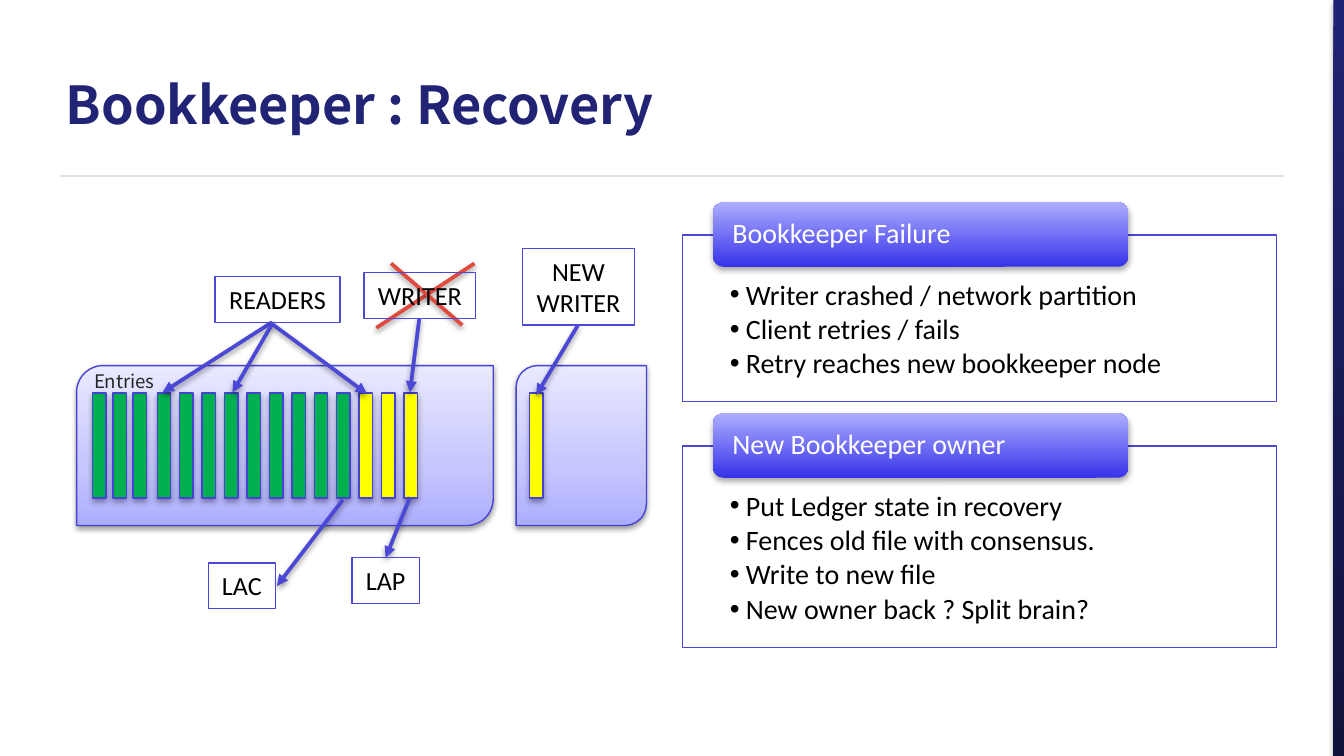
from collections import namedtuple

from lxml import etree
from pptx import Presentation
from pptx.dml.color import RGBColor
from pptx.enum.shapes import MSO_CONNECTOR, MSO_SHAPE as SHAPE
from pptx.enum.text import MSO_ANCHOR as ANCHOR, PP_ALIGN as ALIGN
from pptx.oxml.ns import qn
from pptx.util import Inches, Pt

# All lengths are cells of a grid with 100 columns across the 16:9 slide.
COLS, ROWS = 100, 56.25
CELL = Inches(10) / COLS
Box = namedtuple("Box", "x y w h")

NAVY, INDIGO, EDGE, RED = "212374", "4A48D4", "4543D3", "E04A3F"
GREEN, YELLOW, BLACK, WHITE = "00B050", "FFFF00", "000000", "FFFFFF"
HEADER_GRADIENT = [(0, "3633E9"), (100, "ADADFF")]
LEDGER_GRADIENT = [(0, "ADADFF"), (35, "C5C5FF"), (100, "E9E9FF")]
SOLID_SHADOW, SOFT_SHADOW = (35, 1.8), (38, 1.6)
TITLE_FONT, BODY_FONT = "Noto Sans CJK SC", "Calibri"


def rgb(code):
    return RGBColor.from_string(code)


def cells(*values):
    return [round(v * CELL) for v in values]


def inside(box, x, y, w=0, h=0):
    """Box whose place is counted from the corner of another box."""
    return Box(box.x + x, box.y + y, w, h)


def sub(parent, tag, **attrs):
    el = etree.SubElement(parent, qn(tag))
    for name, value in attrs.items():
        el.set(name, str(value))
    return el


def set_effects(sp, shadow=None):
    """Replace the theme shadow by the given (opacity, distance) or none."""
    effects = sub(sp._element.spPr, "a:effectLst")
    if shadow:
        opacity, dist = shadow
        outer = sub(effects, "a:outerShdw", blurRad=Pt(3.1), dist=Pt(dist),
                    dir=5400000, rotWithShape=0)
        sub(sub(outer, "a:srgbClr", val=BLACK), "a:alpha", val=opacity * 1000)


def set_gradient(sp, stops, angle):
    geom = sp._element.spPr.find(qn("a:prstGeom"))
    grad = etree.Element(qn("a:gradFill"), rotWithShape="1")
    stop_list = sub(grad, "a:gsLst")
    for pos, code in stops:
        sub(sub(stop_list, "a:gs", pos=pos * 1000), "a:srgbClr", val=code)
    sub(grad, "a:lin", ang=angle * 60000, scaled=0)
    geom.addnext(grad)


def add_box(s, kind, box, fill=None, line=None, shadow=None, angle=270):
    sp = s.shapes.add_shape(kind, *cells(*box))
    if isinstance(fill, list):
        set_gradient(sp, fill, angle)
    elif fill:
        sp.fill.solid()
        sp.fill.fore_color.rgb = rgb(fill)
    else:
        sp.fill.background()
    if line:
        sp.line.color.rgb = rgb(line)
        sp.line.width = Pt(0.75)
    else:
        sp.line.fill.background()
    set_effects(sp, shadow)
    return sp


def add_line(s, box, start, end, color=INDIGO, width=2, arrow=True,
             shadow=SOFT_SHADOW):
    a, b = inside(box, *start), inside(box, *end)
    c = s.shapes.add_connector(MSO_CONNECTOR.STRAIGHT,
                               *cells(a.x, a.y, b.x, b.y))
    c.line.color.rgb = rgb(color)
    c.line.width = Pt(width)
    if arrow:
        sub(c.line._get_or_add_ln(), "a:tailEnd", type="triangle")
    set_effects(c, shadow)


def write(sp, lines, size, color=BLACK, font=BODY_FONT, bold=False, bullet=False,
          insets=(1, 0.5, 1, 0.5), frame=None, para=None):
    tf = sp.text_frame
    sides = ("margin_left", "margin_top", "margin_right", "margin_bottom")
    layout = {"word_wrap": True, "vertical_anchor": ANCHOR.TOP}
    layout.update(zip(sides, cells(*insets)))
    layout.update(frame or {})
    for name, value in layout.items():
        setattr(tf, name, value)
    for i, text in enumerate(lines):
        p = tf.add_paragraph() if i else tf.paragraphs[0]
        for name, value in {"alignment": ALIGN.LEFT, **(para or {})}.items():
            setattr(p, name, value)
        if bullet:
            indent, = cells(1.2)
            pPr = p._p.get_or_add_pPr()
            pPr.set("marL", str(indent))
            pPr.set("indent", str(-indent))
            sub(pPr, "a:buFont", typeface="Arial")
            sub(pPr, "a:buChar", char="•")
        r = p.add_run()
        r.text = text
        style = {"name": font, "size": Pt(size), "bold": bold}
        for name, value in style.items():
            setattr(r.font, name, value)
        r.font.color.rgb = rgb(color)


def add_text(s, box, lines, size, **options):
    write(s.shapes.add_textbox(*cells(*box)), lines, size, **options)


def frame_slide(s, box, title):
    """Title, rule below it and dark bar along the right edge."""
    add_line(s, box, (95.5, 13.1), (4.5, 13.1), "E0E0E0", 0.75, False, None)
    add_box(s, SHAPE.RECTANGLE, inside(box, box.w - 0.8, 0, 0.8, box.h),
            [(0, NAVY), (100, "11123A")], shadow=SOLID_SHADOW, angle=90)
    add_text(s, inside(box, 4.9, 1.45, 64.4, 12.5), [title], 28, color=NAVY,
             font=TITLE_FONT, bold=True, insets=(0, 0, 0, 0),
             frame={"vertical_anchor": ANCHOR.MIDDLE})


def panel(s, box, heading, points):
    """Outlined list with a header tab over its top edge."""
    body = inside(box, 0, 2.45, box.w, box.h - 2.45)
    add_box(s, SHAPE.RECTANGLE, body, WHITE, INDIGO)
    add_text(s, body, points, 15, bullet=True, insets=(3.5, 3.4, 3.4, 1.2),
             para={"line_spacing": 0.9, "space_after": Pt(2.25)})
    tab = inside(box, 2.25, 0, 30.9, 4.8)
    add_box(s, SHAPE.ROUNDED_RECTANGLE, tab, HEADER_GRADIENT, shadow=SOLID_SHADOW)
    add_text(s, inside(tab, 0.25, 0.2, 30.4, 4.4), [heading], 15, color=WHITE,
             insets=(1.2, 0, 1.2, 0), frame={"vertical_anchor": ANCHOR.MIDDLE},
             para={"line_spacing": 0.9})


def ledger(s, box, entries):
    """Container holding (offset, colour) entries on a common row."""
    add_box(s, SHAPE.ROUND_2_DIAG_RECTANGLE, box, LEDGER_GRADIENT, EDGE,
            SOFT_SHADOW)
    for x, color in entries:
        add_box(s, SHAPE.RECTANGLE, inside(box, x, 2.05, 1, 7.8), color, EDGE,
                SOLID_SHADOW)


def diagram(s, box):
    offsets = [1.2 + 1.5 * i for i in range(3)] + [6 + 1.67 * i for i in range(12)]
    colors = [GREEN] * 12 + [YELLOW] * 3
    ledger(s, inside(box, 0, 8.7, 31, 11.9), zip(offsets, colors))
    ledger(s, inside(box, 32.7, 8.7, 9.7, 11.9), [(1, YELLOW)])
    add_text(s, inside(box, 0.3, 8.5, 6.5, 2.7), ["Entries"], 10, color="262626",
             font=TITLE_FONT, frame={"word_wrap": False},
             para={"alignment": ALIGN.CENTER})

    arrows = [
        ((14.5, 5.5), (6.4, 10.7)), ((14.4, 5.5), (21.6, 10.8)),
        ((14.5, 5.7), (11.6, 10.7)), ((25.5, 5.2), (24.8, 10.7)),
        ((37.3, 5.7), (34.2, 10.9)), ((24.8, 18.5), (23, 23)),
        ((19.8, 18.7), (14.9, 25.1)),
    ]
    for start, end in arrows:
        add_line(s, box, start, end)
    for start, end in [((29.6, 1.1), (22.3, 5.9)), ((23.4, 1.1), (28.7, 5.7))]:
        add_line(s, box, start, end, RED, arrow=False)

    labels = [
        (["READERS"], 10.3, 2.1, 9.3, 3.4), (["WRITER"], 21.4, 1.8, 8.3, 3.4),
        (["NEW", "WRITER"], 33.2, 0, 8.3, 5.7),
        (["LAC"], 9.8, 23.4, 5, 3.4), (["LAP"], 20.5, 23, 5, 3.4),
    ]
    for lines, *place in labels:
        sp = add_box(s, SHAPE.RECTANGLE, inside(box, *place), line=INDIGO)
        write(sp, lines, 14, frame={"word_wrap": False},
              para={"alignment": ALIGN.CENTER})


def main():
    prs = Presentation()
    prs.slide_width, prs.slide_height = cells(COLS, ROWS)
    s = prs.slides.add_slide(prs.slide_layouts[6])
    frame_slide(s, Box(0, 0, COLS, ROWS), "Bookkeeper : Recovery")
    panel(s, Box(50.8, 15.05, 44.2, 14.85), "Bookkeeper Failure",
          ["Writer crashed / network partition", "Client retries / fails",
           "Retry reaches new bookkeeper node"])
    panel(s, Box(50.8, 30.75, 44.2, 17.45), "New Bookkeeper owner",
          ["Put Ledger state in recovery", "Fences old file with consensus.",
           "Write to new file", "New owner back ? Split brain?"])
    diagram(s, Box(5.7, 18.5, 42.4, 26.8))
    prs.save("out.pptx")


if __name__ == "__main__":
    main()
